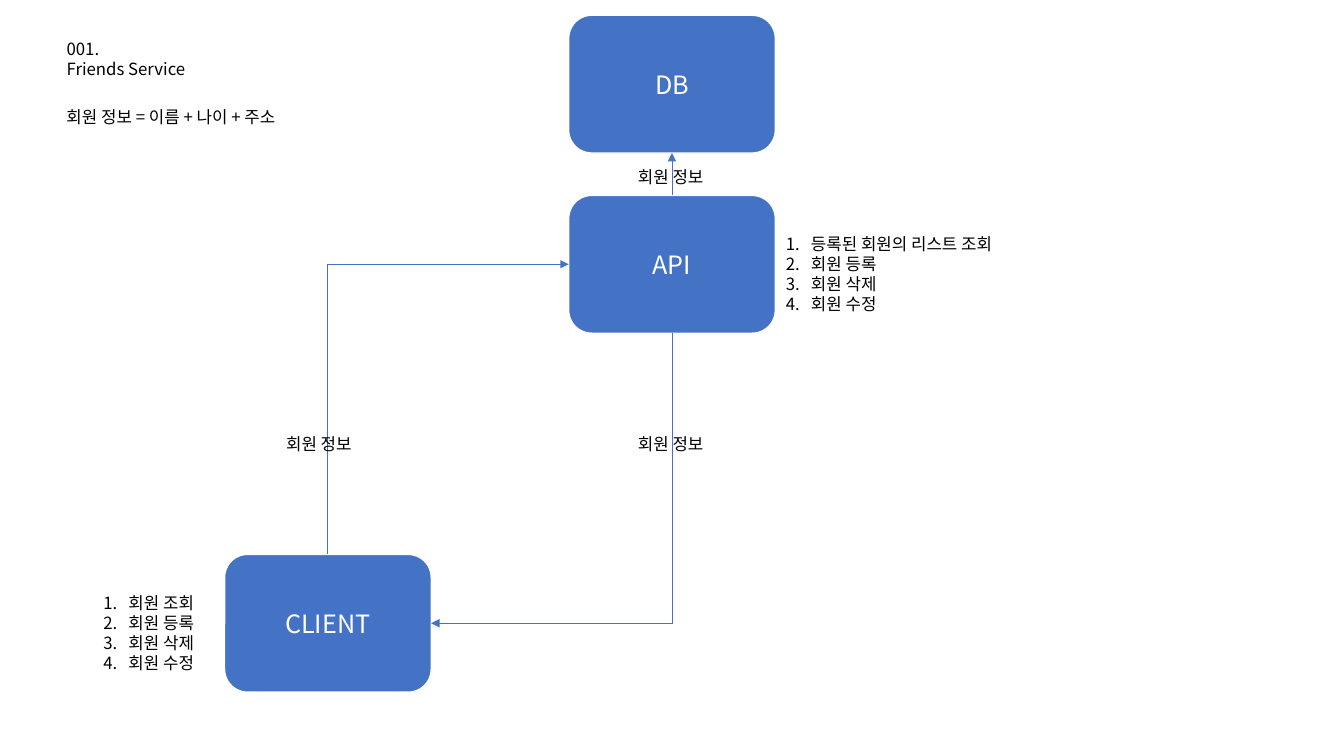
from dataclasses import dataclass
from typing import Any

import pptx
import pptx.dml.color
import pptx.enum.shapes
import pptx.enum.text
import pptx.oxml.ns
import pptx.util
from lxml import etree

Pt = pptx.util.Pt
RGBColor = pptx.dml.color.RGBColor
qn = pptx.oxml.ns.qn
ALIGN = pptx.enum.text.PP_ALIGN
ANCHOR = pptx.enum.text.MSO_ANCHOR
AUTO_SIZE = pptx.enum.text.MSO_AUTO_SIZE
CONNECTOR = pptx.enum.shapes.MSO_CONNECTOR

BLUE = RGBColor(0x44, 0x72, 0xC4)
WHITE = RGBColor(0xFF, 0xFF, 0xFF)
BLACK = RGBColor(0x00, 0x00, 0x00)
FONT = "Noto Sans CJK KR"

NODE_WIDTH, NODE_HEIGHT = 147.6, 98.4
LIST_INDENT = 18
BODY_FRAME = {"word_wrap": True, "auto_size": AUTO_SIZE.SHAPE_TO_FIT_TEXT,
              "vertical_anchor": ANCHOR.TOP}
NODE_FRAME = {"word_wrap": True, "vertical_anchor": ANCHOR.MIDDLE}
BODY_FONT = {"name": FONT, "size": Pt(12), "bold": False}
NODE_FONT = {"name": FONT, "size": Pt(18), "bold": False}


@dataclass(frozen=True)
class Node:
    name: str
    left: float
    top: float

    @property
    def center_x(self) -> float:
        return self.left + NODE_WIDTH / 2

    @property
    def center_y(self) -> float:
        return self.top + NODE_HEIGHT / 2

    @property
    def right(self) -> float:
        return self.left + NODE_WIDTH

    @property
    def bottom(self) -> float:
        return self.top + NODE_HEIGHT


@dataclass(frozen=True)
class Note:
    left: float
    top: float
    width: float
    height: float
    lines: tuple[str, ...]
    numbered: bool = False


@dataclass(frozen=True)
class Arrow:
    start: tuple[float, float]
    end: tuple[float, float]
    bent: bool = False


DB = Node("DB", 406.2, 10.9)
API = Node("API", 406.2, 139.6)
CLIENT = Node("CLIENT", 160.4, 396)
NODES = (API, CLIENT, DB)

ARROWS = (
    Arrow((CLIENT.center_x, CLIENT.top), (API.left, API.center_y), bent=True),
    Arrow((API.center_x, API.bottom), (CLIENT.right, CLIENT.center_y), bent=True),
    Arrow((API.center_x, API.top), (DB.center_x, DB.bottom)),
)

TITLE = Note(40.4, 23.8, 136, 36, ("001.", "Friends Service"))
MEMBER_INFO = ("회원 정보",)
EDITS = ("회원 등록", "회원 삭제", "회원 수정")
NOTES = (
    Note(40.4, 72.7, 204, 21.6, ("회원 정보 = 이름 + 나이 + 주소",)),
    Note(66.7, 419.6, 136, 65.5, ("회원 조회", *EDITS), numbered=True),
    Note(554.2, 163.4, 186, 65.5, ("등록된 회원의 리스트 조회", *EDITS), numbered=True),
    Note(448.6, 306, 67.7, 21.6, MEMBER_INFO),
    Note(197.3, 306, 67.7, 21.6, MEMBER_INFO),
    Note(448.6, 115.9, 67.7, 21.6, MEMBER_INFO),
)


def apply(target: Any, values: dict[str, Any]) -> None:
    """Set each named attribute of the target."""
    for name, value in values.items():
        setattr(target, name, value)


def number_paragraph(para: Any) -> None:
    properties = para._p.get_or_add_pPr()
    properties.set("marL", str(Pt(LIST_INDENT)))
    properties.set("indent", str(-Pt(LIST_INDENT)))
    etree.SubElement(properties, qn("a:buAutoNum"), type="arabicPeriod")


def write_lines(frame: Any, lines: tuple[str, ...], align: Any,
                font: dict[str, Any], color: RGBColor, numbered: bool = False) -> None:
    for index, line in enumerate(lines):
        para = frame.add_paragraph() if index else frame.paragraphs[0]
        apply(para, {"alignment": align, "line_spacing": 1.0, "space_before": Pt(0)})
        if numbered:
            number_paragraph(para)
        span = para.add_run()
        span.text = line
        apply(span.font, font)
        span.font.color.rgb = color
        etree.SubElement(span.font._element, qn("a:ea"), typeface=FONT)


def fill_note(box: Any, note: Note) -> None:
    write_lines(box.text_frame, note.lines, ALIGN.LEFT, BODY_FONT, BLACK, note.numbered)
    apply(box.text_frame, BODY_FRAME)
    apply(box, {"left": Pt(note.left), "top": Pt(note.top),
                "width": Pt(note.width), "height": Pt(note.height)})


def draw_note(page: Any, note: Note) -> None:
    box = page.shapes.add_textbox(Pt(note.left), Pt(note.top), Pt(note.width), Pt(note.height))
    fill_note(box, note)


def draw_node(page: Any, node: Node) -> None:
    box = page.shapes.add_shape(
        pptx.enum.shapes.MSO_SHAPE.ROUNDED_RECTANGLE,
        Pt(node.left), Pt(node.top), Pt(NODE_WIDTH), Pt(NODE_HEIGHT))
    box.shadow.inherit = False
    box.fill.solid()
    box.fill.fore_color.rgb = BLUE
    box.line.color.rgb = WHITE
    box.line.width = Pt(1)
    apply(box.text_frame, NODE_FRAME)
    write_lines(box.text_frame, (node.name,), ALIGN.CENTER, NODE_FONT, WHITE)


def draw_arrow(page: Any, arrow: Arrow) -> None:
    """Draw a straight arrow, or one that leaves vertically and arrives horizontally."""
    (x1, y1), (x2, y2) = arrow.start, arrow.end
    if arrow.bent:
        # Turn the ends back a quarter turn about the centre; rot restores them.
        mid_x, mid_y = (x1 + x2) / 2, (y1 + y2) / 2
        x1, y1, x2, y2 = (mid_x + y1 - mid_y, mid_y - x1 + mid_x,
                          mid_x + y2 - mid_y, mid_y - x2 + mid_x)
    kind = CONNECTOR.ELBOW if arrow.bent else CONNECTOR.STRAIGHT
    connector = page.shapes.add_connector(kind, Pt(x1), Pt(y1), Pt(x2), Pt(y2))
    properties = connector._element.spPr
    if arrow.bent:
        properties.find(qn("a:prstGeom")).set("prst", "bentConnector2")
        properties.find(qn("a:xfrm")).set("rot", str(90 * 60000))
    connector.line.color.rgb = BLUE
    connector.line.width = Pt(0.5)
    etree.SubElement(properties.find(qn("a:ln")), qn("a:tailEnd"), type="triangle")
    etree.SubElement(properties, qn("a:effectLst"))


def main() -> None:
    deck = pptx.Presentation()
    apply(deck, {"slide_width": Pt(960), "slide_height": Pt(540)})
    page = deck.slides.add_slide(deck.slide_layouts.get_by_name("Title Only"))
    fill_note(page.shapes.title, TITLE)
    for node in NODES:
        draw_node(page, node)
    for arrow in ARROWS:
        draw_arrow(page, arrow)
    for note in NOTES:
        draw_note(page, note)
    deck.save("out.pptx")


if __name__ == "__main__":
    main()
